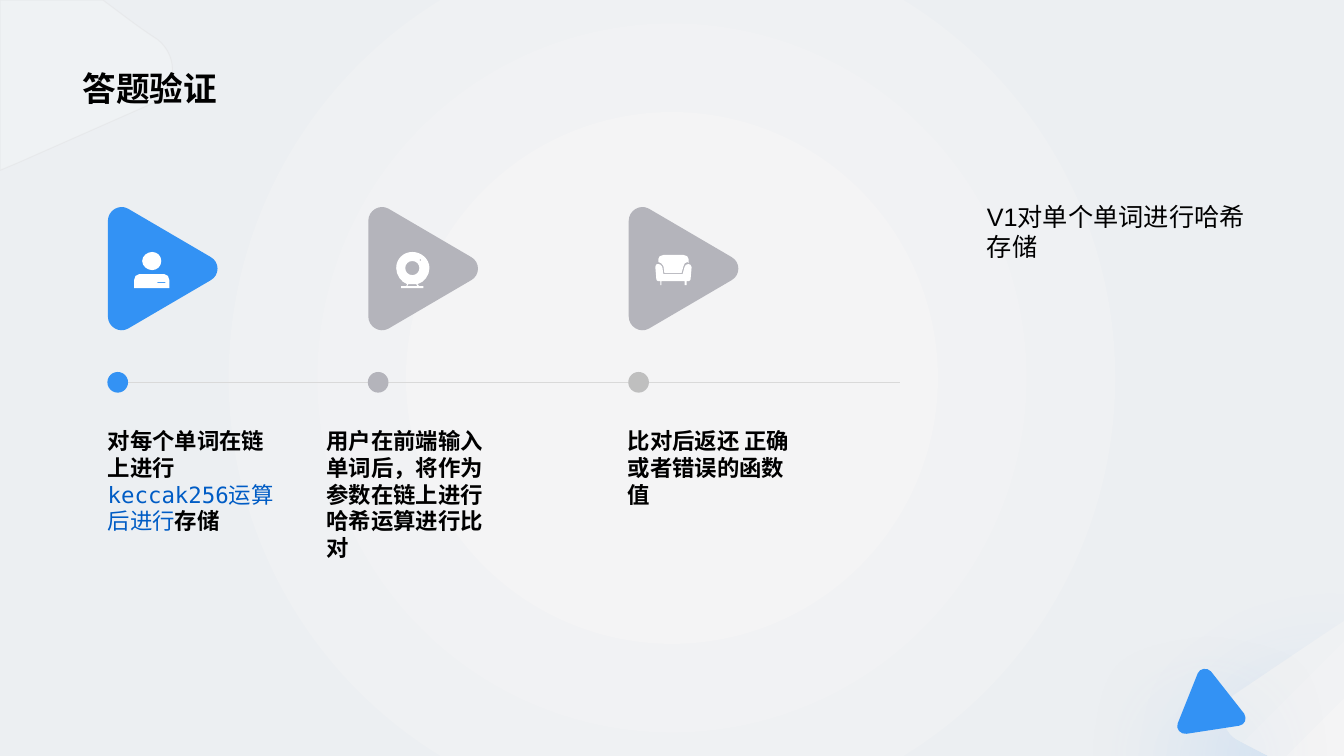
import pptx
import pptx.dml.color
import pptx.enum.shapes
import pptx.enum.text
import pptx.oxml
import pptx.oxml.ns
import pptx.util

RGBColor = pptx.dml.color.RGBColor
BLUE = RGBColor(0x33, 0x92, 0xF4)
DEEP_BLUE = RGBColor(0x0C, 0x77, 0xE2)
CODE_BLUE = RGBColor(0x00, 0x5C, 0xC5)
GRAY = RGBColor(0xB4, 0xB4, 0xBB)
DOT_GRAY = RGBColor(0xBF, 0xBF, 0xBF)
RULE_GRAY = RGBColor(0xD9, 0xD9, 0xD9)
EDGE_GRAY = RGBColor(0xD0, 0xCE, 0xCE)
PALE = RGBColor(0xF4, 0xF4, 0xF5)
MIST = RGBColor(0xEC, 0xEF, 0xF2)
WHITE = RGBColor(0xFF, 0xFF, 0xFF)
BLACK = RGBColor(0x00, 0x00, 0x00)

COLUMNS, ROWS = 1333, 750
STEP_PITCH = 258.3

CORNER_SHEET = "M 0 0 L 102 0 L 118 12 C 130 21 142 30 156 39 C 179 57 175 92 148 104 L 19 161 L 0 169 Z"
CORNER_FOLD = "M 1333 616 L 1333 750 L 1258 750 L 1229 735 C 1210 726 1208 700 1226 688 L 1312 630 Z"
CORNER_TRIANGLE = (
    "M 1188 668 L 1168 718 C 1166 723 1171 729 1177 728 L 1229 720 "
    "C 1235 719 1237 713 1234 708 L 1201 666 C 1197 662 1190 663 1188 668 Z")
STEP_TRIANGLE = (
    "M 209 278 L 127 326 C 118 331 107 324 107 314 L 107 219 "
    "C 107 209 118 202 127 207 L 209 255 C 218 260 218 273 209 278 Z")
PERSON = (
    "M 151 268 C 156 268 160 264 160 259 C 160 254 156 250 151 250 "
    "C 146 250 141 254 141 259 C 141 264 146 268 151 268 Z "
    "M 163 272 L 138 272 C 135 272 133 275 133 278 L 133 286 L 168 286 L 168 278 "
    "C 168 275 166 272 163 272 Z M 164 281 L 156 281 L 156 280 L 164 280 Z")
CAMERA = (
    "M 409 250 C 418 250 426 257 426 266 C 426 273 421 280 414 282 L 416 284 L 420 284 "
    "L 420 286 L 398 286 L 398 284 L 403 284 L 404 282 C 398 280 393 273 393 266 "
    "C 393 257 400 250 409 250 Z "
    "M 405 282 L 404 284 L 414 284 L 413 282 C 412 282 410 282 409 282 "
    "C 408 282 407 282 405 282 Z "
    "M 409 259 C 405 259 402 262 402 266 C 402 270 405 273 409 273 "
    "C 413 273 416 270 416 266 C 416 262 413 259 409 259 Z "
    "M 417 257 C 416 257 416 258 416 258 C 416 259 416 259 417 259 "
    "C 418 259 418 259 418 258 C 418 258 418 257 417 257 Z")
SOFA = (
    "M 683 262 C 684 262 686 263 686 265 L 685 277 C 685 278 684 279 683 279 L 681 279 "
    "L 681 283 L 679 283 L 679 279 L 656 279 L 656 283 L 655 283 L 655 279 L 653 279 "
    "C 652 279 651 278 651 277 L 650 265 C 650 263 651 262 652 262 L 653 262 "
    "C 655 262 656 263 657 265 L 658 272 L 677 272 L 679 265 C 679 263 681 262 683 262 Z "
    "M 678 253 C 681 253 683 255 683 257 L 683 261 C 682 260 682 260 682 260 "
    "C 680 260 678 262 678 264 L 676 271 L 659 271 L 658 264 C 657 262 655 260 653 260 "
    "L 653 257 C 653 255 655 253 658 253 Z")


def element(markup):
    head, rest = markup.split(" ", 1)
    return pptx.oxml.parse_xml(f"{head} {pptx.oxml.ns.nsdecls('a')} {rest}")


def write(para, text, size=16, font="Arial", color=BLACK, bold=False):
    span = para.add_run()
    span.text = text
    span.font.size = pptx.util.Pt(size)
    span.font.name = font
    span.font.color.rgb = color
    span.font.bold = bold


def bend(shape, commands):
    segments = iter(list(shape._element.iter(pptx.oxml.ns.qn("a:lnTo"))))
    for command in commands:
        if command == "L":
            next(segments)
        elif command == "C":
            sides = [next(segments) for _ in range(3)]
            curve = element("<a:cubicBezTo />")
            sides[0].addprevious(curve)
            for side in sides:
                curve.append(side[0])
                side.getparent().remove(side)


class Page:
    def __init__(self, deck):
        self.column = deck.slide_width / COLUMNS
        self.row = deck.slide_height / ROWS
        self.shapes = deck.slides.add_slide(deck.slide_layouts[6]).shapes

    def place(self, *lengths):
        units = (self.column, self.row) * 2
        return [pptx.util.Emu(round(n * unit)) for n, unit in zip(lengths, units)]

    def paint(self, shape, fill):
        shape.shadow.inherit = False
        shape.line.fill.background()
        shape.fill.solid()
        shape.fill.fore_color.rgb = fill
        return shape

    def fade(self, shape, percent):
        for color in shape._element.spPr.iter(pptx.oxml.ns.qn("a:srgbClr")):
            color.append(element(f'<a:alpha val="{percent * 1000}"/>'))

    def gradient(self, shape, stops, direction):
        shape.fill.gradient()
        gradient = shape._element.spPr.find(pptx.oxml.ns.qn("a:gradFill"))
        for child in list(gradient):
            gradient.remove(child)
        marks = "".join(
            f'<a:gs pos="{place * 1000}"><a:srgbClr val="{color}"/></a:gs>'
            for place, color in stops)
        gradient.append(element(f"<a:gsLst >{marks}</a:gsLst>"))
        gradient.append(element(direction))

    def glow(self, shape, color):
        shape._element.spPr.find(pptx.oxml.ns.qn("a:effectLst")).append(element(
            f'<a:outerShdw blurRad="{pptx.util.Pt(84)}" dist="{pptx.util.Pt(34)}" '
            f'dir="5400000" algn="t" rotWithShape="0"><a:srgbClr val="{color}">'
            '<a:alpha val="20000"/></a:srgbClr></a:outerShdw>'))

    def preset(self, kind, at, fill):
        return self.paint(self.shapes.add_shape(kind, *self.place(*at)), fill)

    def outline(self, outline, fill, shift=0):
        builder = None
        for contour in outline.split("Z")[:-1]:
            values = [int(word) for word in contour.split() if word.isdigit()]
            points = [self.place(x + shift, y) for x, y in zip(values[::2], values[1::2])]
            if builder is None:
                builder = self.shapes.build_freeform(*points[0], scale=1.0)
            else:
                builder.move_to(*points[0])
            builder.add_line_segments(points[1:], close=False)
            builder.add_line_segments([], close=True)
        shape = builder.convert_to_shape()
        bend(shape, outline.split())
        return self.paint(shape, fill)

    def rule(self, start, end, color):
        line = self.shapes.add_connector(
            pptx.enum.shapes.MSO_CONNECTOR.STRAIGHT, *self.place(*start, *end))
        line.line.color.rgb = color
        line.line.width = pptx.util.Pt(1)
        line._element.spPr.append(element("<a:effectLst />"))

    def text(self, at, *spans, **style):
        frame = self.shapes.add_textbox(*self.place(*at)).text_frame
        frame.word_wrap = True
        frame.auto_size = pptx.enum.text.MSO_AUTO_SIZE.SHAPE_TO_FIT_TEXT
        for words, changes in spans:
            write(frame.paragraphs[0], words, **{**style, **changes})
        return frame


def main():
    deck = pptx.Presentation()
    deck.slide_width = pptx.util.Inches(13.33)
    deck.slide_height = pptx.util.Inches(7.5)
    page = Page(deck)
    kinds = pptx.enum.shapes.MSO_SHAPE

    backdrop = page.preset(kinds.RECTANGLE, (0, 0, COLUMNS, ROWS), MIST)
    page.gradient(
        backdrop, [(0, PALE), (23, PALE), (69, MIST), (100, MIST)],
        '<a:path path="circle"><a:fillToRect l="50000" t="50000" r="50000" b="50000"/></a:path>')
    sheet = page.outline(CORNER_SHEET, WHITE)
    sheet.line.color.rgb = EDGE_GRAY
    sheet.line.width = pptx.util.Pt(0.75)
    page.fade(sheet, 20)
    fold = page.outline(CORNER_FOLD, PALE)
    page.gradient(fold, [(12, MIST), (100, PALE)], '<a:lin ang="2700000" scaled="0"/>')
    page.glow(fold, BLUE)
    page.glow(page.outline(CORNER_TRIANGLE, BLUE), DEEP_BLUE)

    title = page.text((72, 0, 1188, 112.4), ("答题验证", {}), size=24, bold=True)
    title.auto_size = pptx.enum.text.MSO_AUTO_SIZE.NONE
    title.vertical_anchor = pptx.enum.text.MSO_ANCHOR.BOTTOM
    title.paragraphs[0].line_spacing = 0.9

    page.rule((123, 379.3), (893, 379.3), RULE_GRAY)
    code = {"font": "DejaVu Sans Mono", "color": CODE_BLUE, "bold": False}
    steps = [
        (BLUE, BLUE, PERSON, 97, 91,
         [("对每个单词在链上进行", {}), ("keccak256运算后进行", code), ("存储", {})]),
        (GRAY, GRAY, CAMERA, 314, 145,
         [("用户在前端输入单词后，将作为参数在链上进行哈希运算进行比对", {})]),
        (GRAY, DOT_GRAY, SOFA, 613, 91, [("比对后返还 正确或者错误的函数值", {})]),
    ]
    for index, (fill, dot, icon, left, height, spans) in enumerate(steps):
        shift = index * STEP_PITCH
        page.outline(STEP_TRIANGLE, fill, shift)
        page.outline(icon, WHITE)
        page.preset(kinds.OVAL, (106.5 + shift, 369, 20.5, 20.5), dot)
        page.text((left, 418.6, 189, height), *spans, bold=True)

    page.text((969, 195, 282, 71), ("V1对单个单词进行哈希存储", {}), size=18)
    deck.save("out.pptx")


if __name__ == "__main__":
    main()
